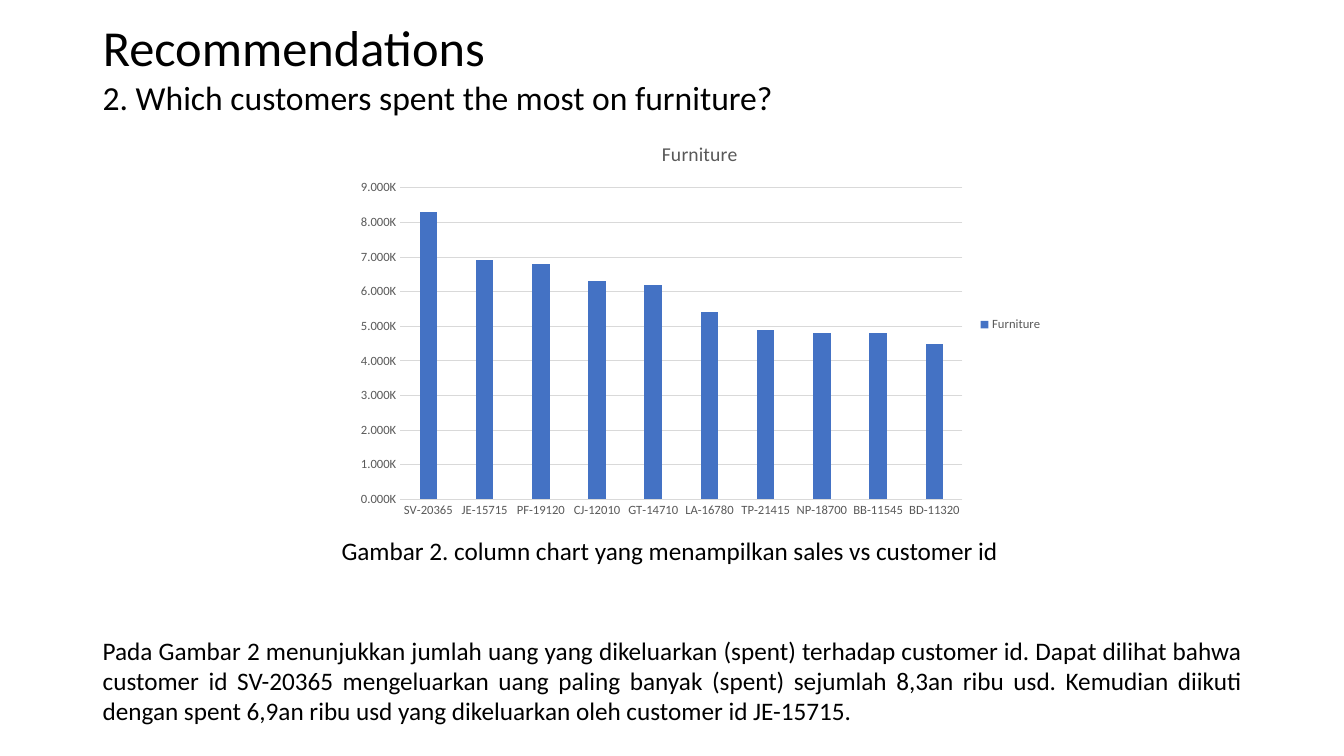
from pptx import Presentation
from pptx.chart.data import CategoryChartData
from pptx.dml.color import RGBColor
from pptx.enum.chart import XL_CHART_TYPE, XL_LEGEND_POSITION, XL_TICK_MARK
from pptx.enum.text import MSO_ANCHOR, MSO_AUTO_SIZE, PP_ALIGN
from pptx.util import Inches, Pt

FONT = "Calibri"
BLACK = "000000"
GRAY = "595959"
RULE = "D9D9D9"
BLUE = "4472C4"
LEFT = 0.92
WIDTH = 11.5

SPENDING = {
    "SV-20365": 8300,
    "JE-15715": 6900,
    "PF-19120": 6800,
    "CJ-12010": 6300,
    "GT-14710": 6200,
    "LA-16780": 5400,
    "TP-21415": 4900,
    "NP-18700": 4800,
    "BB-11545": 4800,
    "BD-11320": 4500,
}
QUESTION = "2. Which customers spent the most on furniture?"
CAPTION = "Gambar 2. column chart yang menampilkan sales vs customer id "
FINDING = (
    "Pada Gambar 2 menunjukkan jumlah uang yang dikeluarkan (spent) terhadap customer id. "
    "Dapat dilihat bahwa customer id SV-20365 mengeluarkan uang paling banyak (spent) "
    "sejumlah 8,3an ribu usd. Kemudian diikuti dengan spent 6,9an ribu usd yang dikeluarkan "
    "oleh customer id JE-15715."
)


def rgb(color):
    return RGBColor.from_string(color)


def style_font(font, size, color):
    font.name = FONT
    font.size = Pt(size)
    font.bold = False
    font.color.rgb = rgb(color)


def style_line(line):
    line.color.rgb = rgb(RULE)
    line.width = Pt(0.75)


def set_title(slide, text):
    title = slide.shapes.title
    title.left, title.top = Inches(LEFT), Inches(0.02)
    title.width, title.height = Inches(WIDTH), Inches(0.95)
    frame = title.text_frame
    frame.text = text
    frame.vertical_anchor = MSO_ANCHOR.MIDDLE
    heading = frame.paragraphs[0]
    heading.alignment = PP_ALIGN.LEFT
    heading.line_spacing = 0.9
    style_font(heading.font, 36, BLACK)


def add_text(slide, text, top, width, height, size, alignment):
    frame = slide.shapes.add_textbox(
        Inches(LEFT), Inches(top), Inches(width), Inches(height)
    ).text_frame
    frame.word_wrap = True
    frame.auto_size = MSO_AUTO_SIZE.SHAPE_TO_FIT_TEXT
    frame.text = text
    paragraph = frame.paragraphs[0]
    paragraph.alignment = alignment
    style_font(paragraph.font, size, BLACK)


def style_axis(axis):
    axis.major_tick_mark = XL_TICK_MARK.NONE
    axis.minor_tick_mark = XL_TICK_MARK.NONE
    style_font(axis.tick_labels.font, 9, GRAY)


def add_spending_chart(slide):
    spending = CategoryChartData()
    spending.categories = list(SPENDING)
    spending.add_series("Furniture", list(SPENDING.values()))
    chart = slide.shapes.add_chart(
        XL_CHART_TYPE.COLUMN_CLUSTERED,
        Inches(3.44), Inches(1.22), Inches(7), Inches(4), spending,
    ).chart
    style_font(chart.font, 10, BLACK)

    chart.has_title = True
    chart.chart_title.include_in_layout = False
    heading = chart.chart_title.text_frame
    heading.text = "Furniture"
    style_font(heading.paragraphs[0].font, 14, GRAY)

    chart.has_legend = True
    chart.legend.position = XL_LEGEND_POSITION.RIGHT
    chart.legend.include_in_layout = False
    style_font(chart.legend.font, 9, GRAY)

    columns = chart.plots[0]
    columns.gap_width = 219
    columns.overlap = -27
    columns.vary_by_categories = False
    furniture = columns.series[0].format.fill
    furniture.solid()
    furniture.fore_color.rgb = rgb(BLUE)

    customers, sales = chart.category_axis, chart.value_axis
    style_axis(customers)
    style_line(customers.format.line)
    style_axis(sales)
    sales.minimum_scale, sales.maximum_scale, sales.major_unit = 0, 9000, 1000
    sales.format.line.fill.background()
    sales.has_major_gridlines = True
    style_line(sales.major_gridlines.format.line)
    sales.tick_labels.number_format = '#,##0.000,"K"'
    sales.tick_labels.number_format_is_linked = False


def main():
    deck = Presentation()
    deck.slide_width, deck.slide_height = Inches(13.33), Inches(7.5)
    slide = deck.slides.add_slide(deck.slide_layouts[5])
    set_title(slide, "Recommendations")
    add_spending_chart(slide)
    add_text(slide, FINDING, 6.25, WIDTH, 1.01, 18, PP_ALIGN.JUSTIFY)
    add_text(slide, QUESTION, 0.71, 12.04, 0.5, 24, PP_ALIGN.LEFT)
    add_text(slide, CAPTION, 5.26, WIDTH, 0.4, 18, PP_ALIGN.CENTER)
    deck.save("out.pptx")


main()
